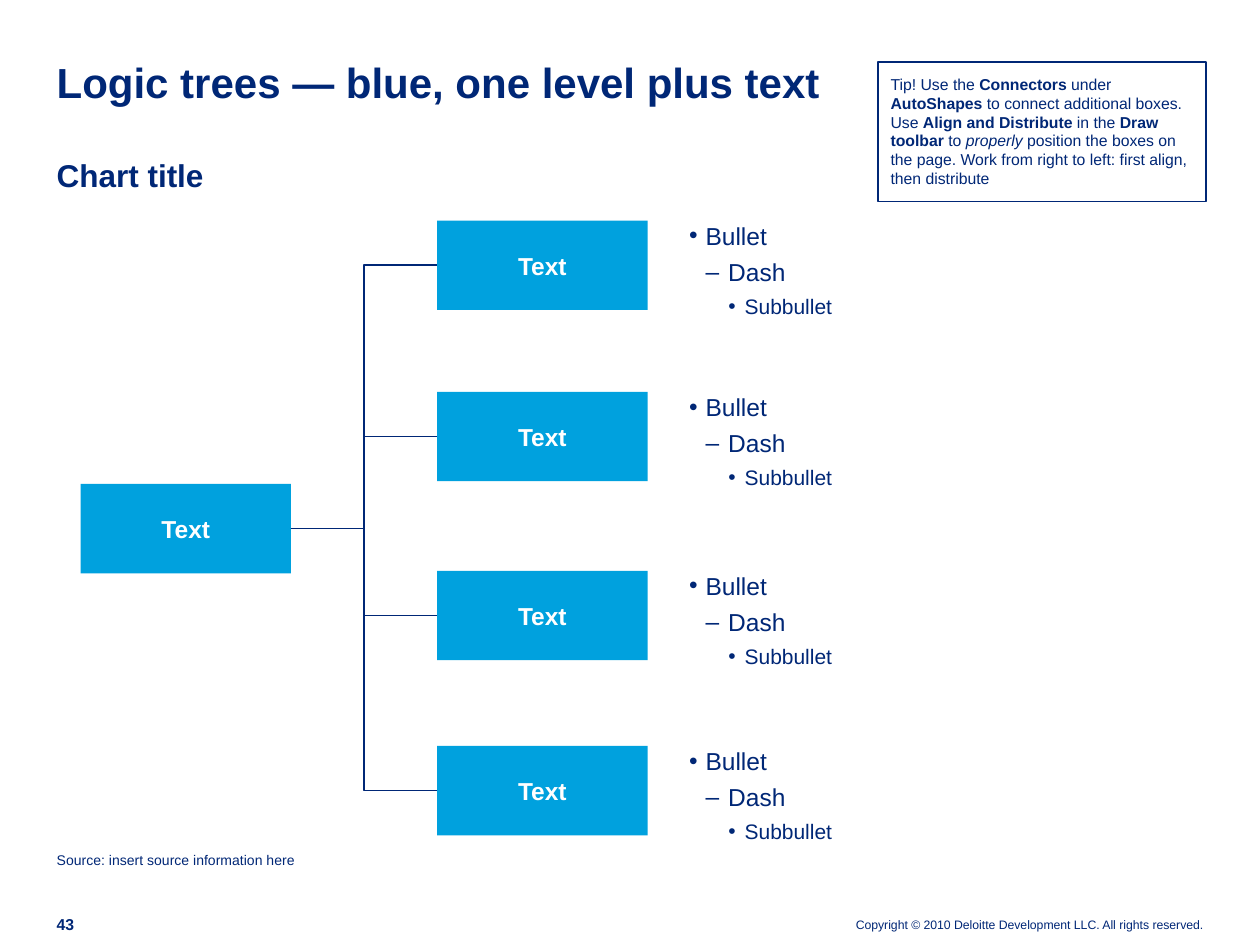
"""Build a one-level logic tree slide with bulleted notes and a tip box."""
from dataclasses import dataclass

from lxml.etree import SubElement
from pptx import Presentation
from pptx.dml.color import RGBColor
from pptx.enum.shapes import MSO_CONNECTOR, MSO_SHAPE
from pptx.enum.text import MSO_ANCHOR, PP_ALIGN
from pptx.oxml.ns import qn
from pptx.shapes.autoshape import Shape
from pptx.slide import Slide
from pptx.text.text import TextFrame
from pptx.util import Inches, Pt

NAVY = RGBColor(0x00, 0x27, 0x76)
BLUE = RGBColor(0x00, 0xA1, 0xDE)
WHITE = RGBColor(0xFF, 0xFF, 0xFF)
FONT = "Arial"

BOX_WIDTH, BOX_HEIGHT = 1.67, 0.71
ROOT_LEFT, ROOT_TOP = 0.64, 3.84
BRANCH_LEFT, NOTES_LEFT = 3.47, 5.47
BRANCH_TOPS = (1.75, 3.11, 4.53, 5.92)


@dataclass(frozen=True)
class Span:
    text: str
    bold: bool = False
    italic: bool = False


@dataclass(frozen=True)
class Bullet:
    text: str
    mark: str
    indent: float
    hanging: float
    size: int


NOTES = (
    Bullet("Bullet", "•", 0.13, 0.13, 14),
    Bullet("Dash", "–", 0.31, 0.18, 14),
    Bullet("Subbullet", "•", 0.44, 0.13, 12),
)
TIP = (
    Span("Tip! Use the "),
    Span("Connectors ", bold=True),
    Span("under "),
    Span("AutoShapes", bold=True),
    Span(" to connect additional boxes. Use "),
    Span("Align and Distribute", bold=True),
    Span(" in the "),
    Span("Draw toolbar ", bold=True),
    Span("to "),
    Span("properly", italic=True),
    Span(" position the boxes on the page. Work from right to left: first align, then distribute"),
)


def write_text(frame: TextFrame, *spans: Span, size: int, color: RGBColor = NAVY,
               align: PP_ALIGN = PP_ALIGN.LEFT, anchor: MSO_ANCHOR = MSO_ANCHOR.TOP,
               margin: float = 0, new: bool = False):
    frame.word_wrap = True
    frame.vertical_anchor = anchor
    frame.margin_left = frame.margin_right = Inches(margin)
    frame.margin_top = frame.margin_bottom = Inches(margin)
    para = frame.add_paragraph() if new else frame.paragraphs[0]
    para.alignment = align
    for span in spans:
        run = para.add_run()
        run.text = span.text
        run.font.name = FONT
        run.font.size = Pt(size)
        run.font.bold = span.bold
        run.font.italic = span.italic
        run.font.color.rgb = color
    return para


def place(shape: Shape, left: float, top: float, width: float, height: float) -> None:
    shape.left, shape.top = Inches(left), Inches(top)
    shape.width, shape.height = Inches(width), Inches(height)


def add_label(page: Slide, span: Span, left: float, top: float, width: float,
              height: float, **text_format) -> None:
    label = page.shapes.add_textbox(0, 0, 0, 0)
    place(label, left, top, width, height)
    write_text(label.text_frame, span, **text_format)


def add_rectangle(page: Slide, left: float, top: float, width: float, height: float) -> Shape:
    box = page.shapes.add_shape(MSO_SHAPE.RECTANGLE, Inches(left), Inches(top),
                                Inches(width), Inches(height))
    box.shadow.inherit = False
    return box


def add_node(page: Slide, left: float, top: float) -> Shape:
    box = add_rectangle(page, left, top, BOX_WIDTH, BOX_HEIGHT)
    box.fill.solid()
    box.fill.fore_color.rgb = BLUE
    box.line.fill.background()
    write_text(box.text_frame, Span("Text", bold=True), size=14, color=WHITE,
               align=PP_ALIGN.CENTER, anchor=MSO_ANCHOR.MIDDLE, margin=0.02)
    return box


def add_notes(page: Slide, top: float) -> None:
    notes = page.shapes.add_textbox(Inches(NOTES_LEFT), Inches(top), Inches(3.34), Inches(0.79))
    for level, bullet in enumerate(NOTES):
        para = write_text(notes.text_frame, Span(bullet.text), size=bullet.size, new=level > 0)
        para.level = level
        if level:
            para.space_before = Pt(4)
        properties = para._p.get_or_add_pPr()
        properties.set("marL", str(Inches(bullet.indent)))
        properties.set("indent", str(-Inches(bullet.hanging)))
        SubElement(properties, qn("a:buFont"), typeface=FONT)
        SubElement(properties, qn("a:buChar"), char=bullet.mark)


def connect(page: Slide, root: Shape, branch: Shape) -> None:
    link = page.shapes.add_connector(MSO_CONNECTOR.ELBOW, 0, 0, 0, 0)
    link.begin_x, link.begin_y = root.left + root.width, root.top + root.height // 2
    link.end_x, link.end_y = branch.left, branch.top + branch.height // 2
    link.begin_connect(root, 3)
    link.end_connect(branch, 1)
    link.line.color.rgb = NAVY
    link.line.width = Pt(1)
    SubElement(link._element.spPr, qn("a:effectLst"))


def add_tip(page: Slide) -> None:
    tip = add_rectangle(page, 6.97, 0.49, 2.6, 1.11)
    tip.fill.background()
    tip.line.color.rgb = NAVY
    tip.line.width = Pt(1)
    write_text(tip.text_frame, *TIP, size=9, margin=0.1)


def main() -> None:
    deck = Presentation()
    deck.slide_width, deck.slide_height = Inches(10), Inches(7.5)
    page = deck.slides.add_slide(deck.slide_layouts[5])

    title = page.shapes.title
    place(title, 0.45, 0.49, 9.11, 0.36)
    heading = write_text(title.text_frame, Span("Logic trees — blue, one level plus text", bold=True),
                         size=24, anchor=MSO_ANCHOR.BOTTOM)
    heading.line_spacing = Pt(26)

    root = add_node(page, ROOT_LEFT, ROOT_TOP)
    for top in BRANCH_TOPS:
        add_notes(page, top)
        connect(page, root, add_node(page, BRANCH_LEFT, top))

    add_tip(page)
    add_label(page, Span("Chart title", bold=True), 0.45, 1.24, 2.14, 0.3, size=18)
    add_label(page, Span("Source: insert source information here"), 0.45, 6.76, 4.37, 0.14, size=8)
    add_label(page, Span("43", bold=True), 0.45, 7.26, 0.29, 0.15, size=9,
              anchor=MSO_ANCHOR.BOTTOM)
    add_label(page, Span("Copyright © 2010 Deloitte Development LLC. All rights reserved."),
              6.52, 7.28, 3.03, 0.12, size=7, align=PP_ALIGN.RIGHT, anchor=MSO_ANCHOR.BOTTOM)
    deck.save("out.pptx")


if __name__ == "__main__":
    main()
